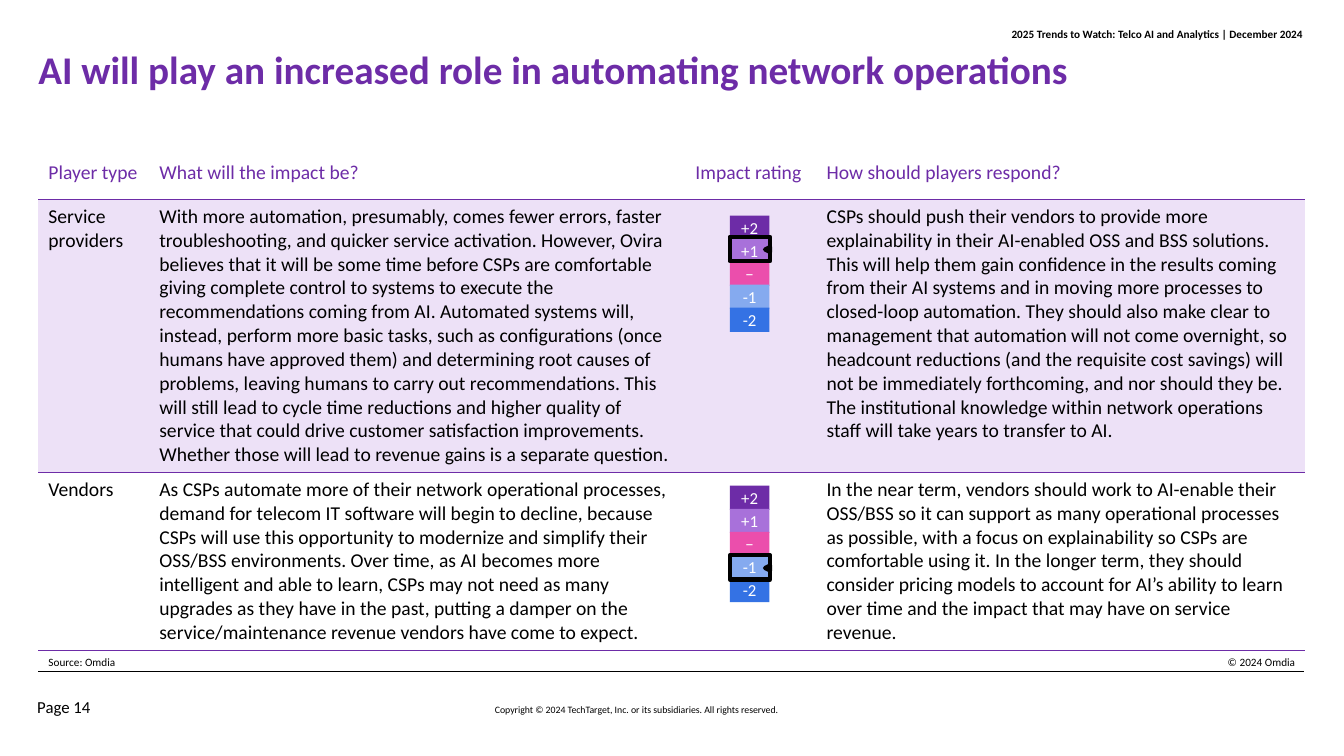
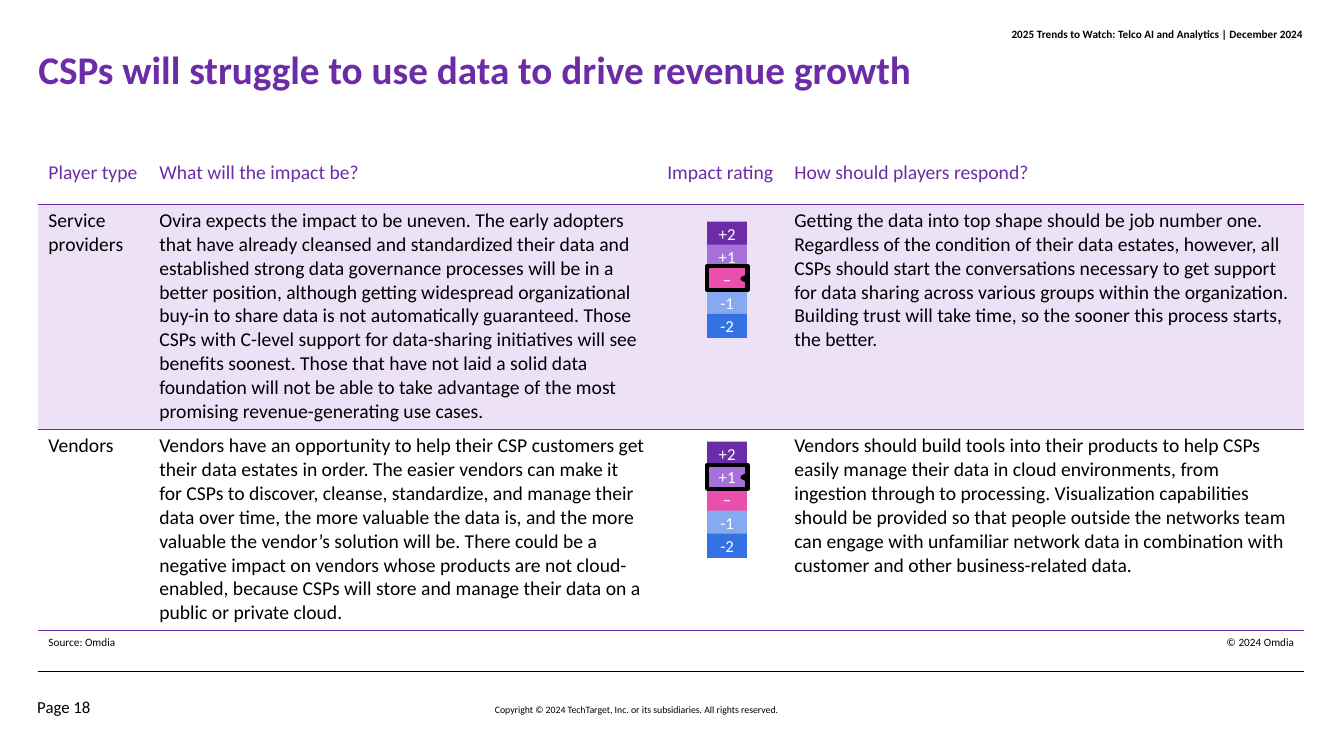
"""Build two impact table slides on telco AI and analytics."""
import pptx
import pptx.dml.color
import pptx.enum.shapes
import pptx.enum.text
import pptx.oxml.ns
import pptx.util
import lxml.etree

Pt = pptx.util.Pt
Align = pptx.enum.text.PP_ALIGN
Anchor = pptx.enum.text.MSO_ANCHOR
Shape = pptx.enum.shapes.MSO_SHAPE
qn = pptx.oxml.ns.qn

PURPLE, LILAC, WHITE, BLACK = "6D2CA7", "EDE1F7", "FFFFFF", "000000"
SCALE = [("+2", PURPLE), ("+1", "A871DA"), ("−", "EB4EAC"),
         ("-1", "85AAEF"), ("-2", "3472E4")]
STEP = 16.45
PLAIN = "{2D5ABB26-0587-4C30-8999-92F81FD0307C}"
HEAD = ["Player type", "What will the impact be?", "Impact rating",
        "How should players respond?"]
FOOT = ["Source: Omdia", "", "", "© 2024 Omdia"]
EDGES = [["lnB"], ["lnT", "lnB"], ["lnT"], []]
FILLS = [WHITE, LILAC, WHITE, None]

PAGES = [
    dict(
        title="AI will play an increased role in automating network operations",
        page="Page 14",
        cols=[79.2, 379.4, 97.2, 349.2],
        rows=[31, 195, 127, 25],
        left=521.3,
        marks=[(154, 169.2), (347, 396.7)],
        body=[
            ["Service providers",
             "With more automation, presumably, comes fewer errors, faster troubleshooting, and quicker "
             "service activation. However, Ovira believes that it will be some time before CSPs are "
             "comfortable giving complete control to systems to execute the recommendations coming from "
             "AI. Automated systems will, instead, perform more basic tasks, such as configurations (once "
             "humans have approved them) and determining root causes of problems, leaving humans to carry "
             "out recommendations. This will still lead to cycle time reductions and higher quality of "
             "service that could drive customer satisfaction improvements. Whether those will lead to "
             "revenue gains is a separate question.",
             "",
             "CSPs should push their vendors to provide more explainability in their AI-enabled OSS and BSS "
             "solutions. This will help them gain confidence in the results coming from their AI systems "
             "and in moving more processes to closed-loop automation. They should also make clear to "
             "management that automation will not come overnight, so headcount reductions (and the "
             "requisite cost savings) will not be immediately forthcoming, and nor should they be. The "
             "institutional knowledge within network operations staff will take years to transfer to AI."],
            ["Vendors",
             "As CSPs automate more of their network operational processes, demand for telecom IT software "
             "will begin to decline, because CSPs will use this opportunity to modernize and simplify their "
             "OSS/BSS environments. Over time, as AI becomes more intelligent and able to learn, CSPs may "
             "not need as many upgrades as they have in the past, putting a damper on the "
             "service/maintenance revenue vendors have come to expect.",
             "",
             "In the near term, vendors should work to AI-enable their OSS/BSS so it can support as many "
             "operational processes as possible, with a focus on explainability so CSPs are comfortable "
             "using it. In the longer term, they should consider pricing models to account for AI’s ability "
             "to learn over time and the impact that may have on service revenue."],
        ],
    ),
    dict(
        title="CSPs will struggle to use data to drive revenue growth",
        page="Page 18",
        cols=[79.2, 362.2, 91.4, 371.5],
        rows=[34, 161, 144, 22],
        left=505.2,
        marks=[(158.4, 190.1), (315.4, 331.9)],
        body=[
            ["Service providers",
             "Ovira expects the impact to be uneven. The early adopters that have already cleansed and "
             "standardized their data and established strong data governance processes will be in a better "
             "position, although getting widespread organizational buy-in to share data is not "
             "automatically guaranteed. Those CSPs with C-level support for data-sharing initiatives will "
             "see benefits soonest. Those that have not laid a solid data foundation will not be able to "
             "take advantage of the most promising revenue-generating use cases.",
             "",
             "Getting the data into top shape should be job number one. Regardless of the condition of "
             "their data estates, however, all CSPs should start the conversations necessary to get support "
             "for data sharing across various groups within the organization. Building trust will take "
             "time, so the sooner this process starts, the better."],
            ["Vendors",
             "Vendors have an opportunity to help their CSP customers get their data estates in order. The "
             "easier vendors can make it for CSPs to discover, cleanse, standardize, and manage their data "
             "over time, the more valuable the data is, and the more valuable the vendor’s solution will "
             "be. There could be a negative impact on vendors whose products are not cloud-enabled, because "
             "CSPs will store and manage their data on a public or private cloud.",
             "",
             "Vendors should build tools into their products to help CSPs easily manage their data in cloud "
             "environments, from ingestion through to processing. Visualization capabilities should be "
             "provided so that people outside the networks team can engage with unfamiliar network data in "
             "combination with customer and other business-related data."],
        ],
    ),
]


def rgb(code):
    return pptx.dml.color.RGBColor.from_string(code)


def put(frame, text, size=14, color=BLACK, bold=False, align=Align.LEFT,
        anchor=None, inset=None, space=None):
    if inset is not None:
        frame.word_wrap = True
        frame.auto_size = pptx.enum.text.MSO_AUTO_SIZE.NONE
        frame.margin_left = frame.margin_right = Pt(inset)
        frame.margin_top = frame.margin_bottom = Pt(inset)
    if anchor is not None:
        frame.vertical_anchor = anchor
    para = frame.paragraphs[0]
    para.alignment = align
    if space:
        para.line_spacing = space
    run = para.add_run()
    run.text = text
    run.font.name = "Calibri"
    run.font.size = Pt(size)
    run.font.bold = bold
    run.font.color.rgb = rgb(color)


deck = pptx.Presentation()
deck.slide_width, deck.slide_height = Pt(960), Pt(540)
layout = deck.slide_layouts[5]
name = layout.placeholders[0]
name.left, name.top, name.width, name.height = Pt(27.4), Pt(37.4), Pt(904), Pt(54)

for page in PAGES:
    slide = deck.slides.add_slide(layout)
    shapes = slide.shapes
    put(shapes.title.text_frame, page["title"], size=28, color=PURPLE, bold=True,
        anchor=Anchor.TOP, inset=0, space=0.85)

    rule = shapes.add_connector(pptx.enum.shapes.MSO_CONNECTOR.STRAIGHT,
                                Pt(27.4), Pt(479.5), Pt(931.7), Pt(479.5))
    rule.line.color.rgb = rgb(BLACK)
    rule.line.width = Pt(1)
    lxml.etree.SubElement(rule._element.spPr, qn("a:effectLst"))

    for text, place, form in [
        ("2025 Trends to Watch: Telco AI and Analytics | December 2024", (433, 17, 498, 14),
         dict(size=8, bold=True, align=Align.RIGHT, anchor=Anchor.MIDDLE)),
        ("Copyright © 2024 TechTarget, Inc. or its subsidiaries. All rights reserved.",
         (277.2, 492.5, 355, 18.7),
         dict(size=7, align=Align.CENTER, anchor=Anchor.BOTTOM, space=0.85)),
        (page["page"], (26.6, 483, 71, 29), dict(size=12, anchor=Anchor.BOTTOM, space=0.85)),
    ]:
        box = shapes.add_textbox(*map(Pt, place))
        put(box.text_frame, text, inset=0, **form)

    cols, rows = page["cols"], page["rows"]
    table = shapes.add_table(len(rows), len(cols), Pt(27.4), Pt(111.6),
                             Pt(sum(cols)), Pt(sum(rows))).table
    table.horz_banding = False
    table._tbl.tblPr.find(qn("a:tableStyleId")).text = PLAIN
    for col, width in zip(table.columns, cols):
        col.width = Pt(width)
    for r, line in enumerate([HEAD, *page["body"], FOOT]):
        table.rows[r].height = Pt(rows[r])
        for c, text in enumerate(line):
            cell = table.cell(r, c)
            align = Align.LEFT
            if c == 2:
                align = Align.CENTER
            elif text == FOOT[3]:
                align = Align.RIGHT
            put(cell.text_frame, text, size=8 if r == 3 else 14,
                color=PURPLE if r == 0 else BLACK, align=align)
            for edge in EDGES[r]:
                side = lxml.etree.SubElement(cell._tc.get_or_add_tcPr(), qn("a:" + edge), w=str(Pt(0.5)))
                fill = lxml.etree.SubElement(side, qn("a:solidFill"))
                lxml.etree.SubElement(fill, qn("a:srgbClr"), val=PURPLE)
            if FILLS[r]:
                cell.fill.solid()
                cell.fill.fore_color.rgb = rgb(FILLS[r])
            else:
                cell.fill.background()

    left = page["left"]
    for top, mark in page["marks"]:
        group = shapes.add_group_shape().shapes
        for i, (text, color) in enumerate(SCALE):
            step = group.add_shape(Shape.RECTANGLE, Pt(left), Pt(top + i * STEP), Pt(28.4), Pt(17.3))
            step.shadow.inherit = False
            step.fill.solid()
            step.fill.fore_color.rgb = rgb(color)
            step.line.fill.background()
            put(step.text_frame, text, size=12, color=WHITE, align=Align.CENTER,
                anchor=Anchor.MIDDLE, inset=1.4)
        frame = group.add_shape(Shape.RECTANGLE, Pt(left), Pt(mark), Pt(28.8), Pt(17.3))
        frame.fill.background()
        arrow = group.add_shape(Shape.ISOSCELES_TRIANGLE, Pt(left + 25.2), Pt(mark + 7.2), Pt(3.6), Pt(3.6))
        arrow.rotation = 270
        arrow.fill.solid()
        arrow.fill.fore_color.rgb = rgb(PURPLE)
        for part in (frame, arrow):
            part.shadow.inherit = False
            part.line.color.rgb = rgb(BLACK)
            part.line.width = Pt(3)

deck.save("out.pptx")
